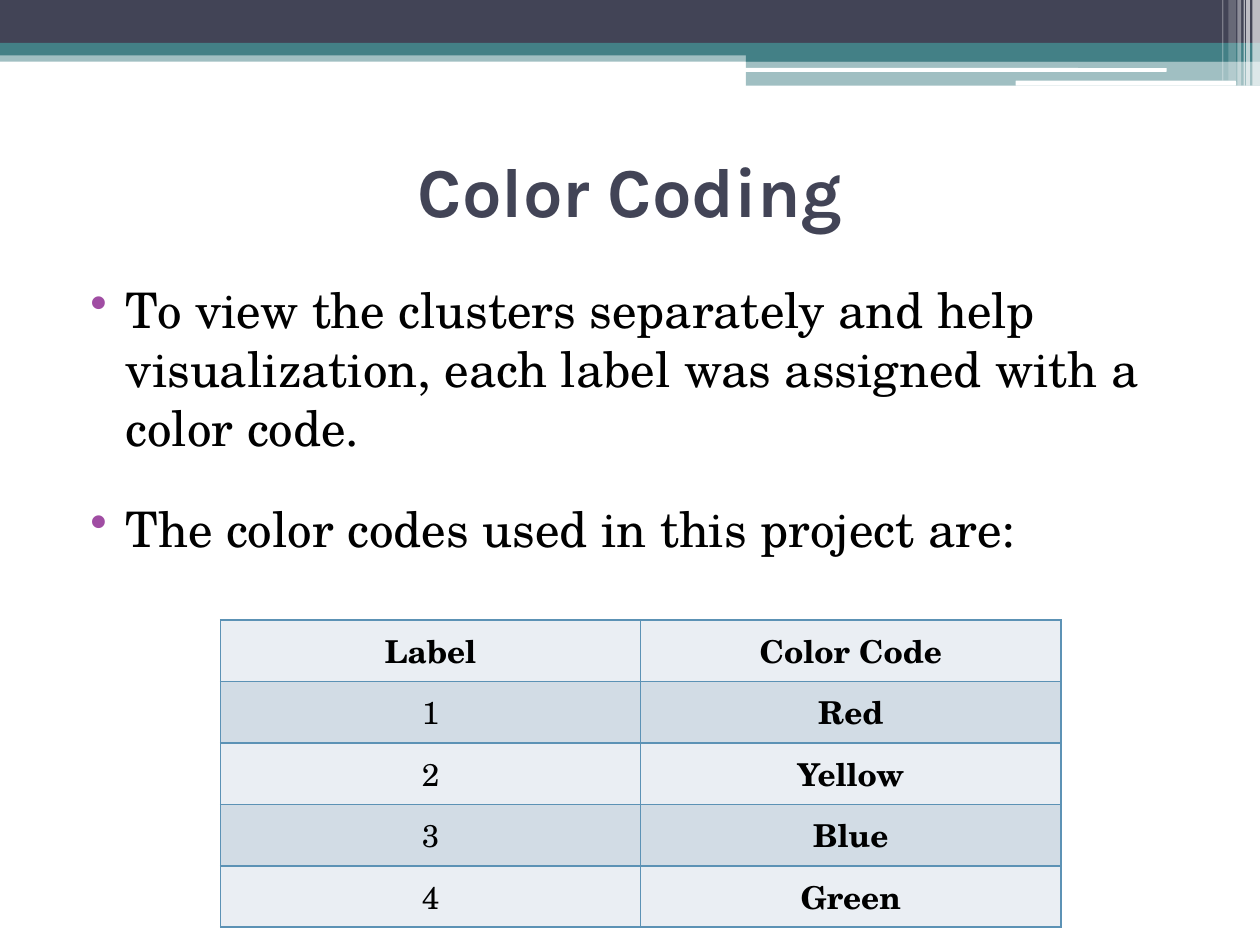
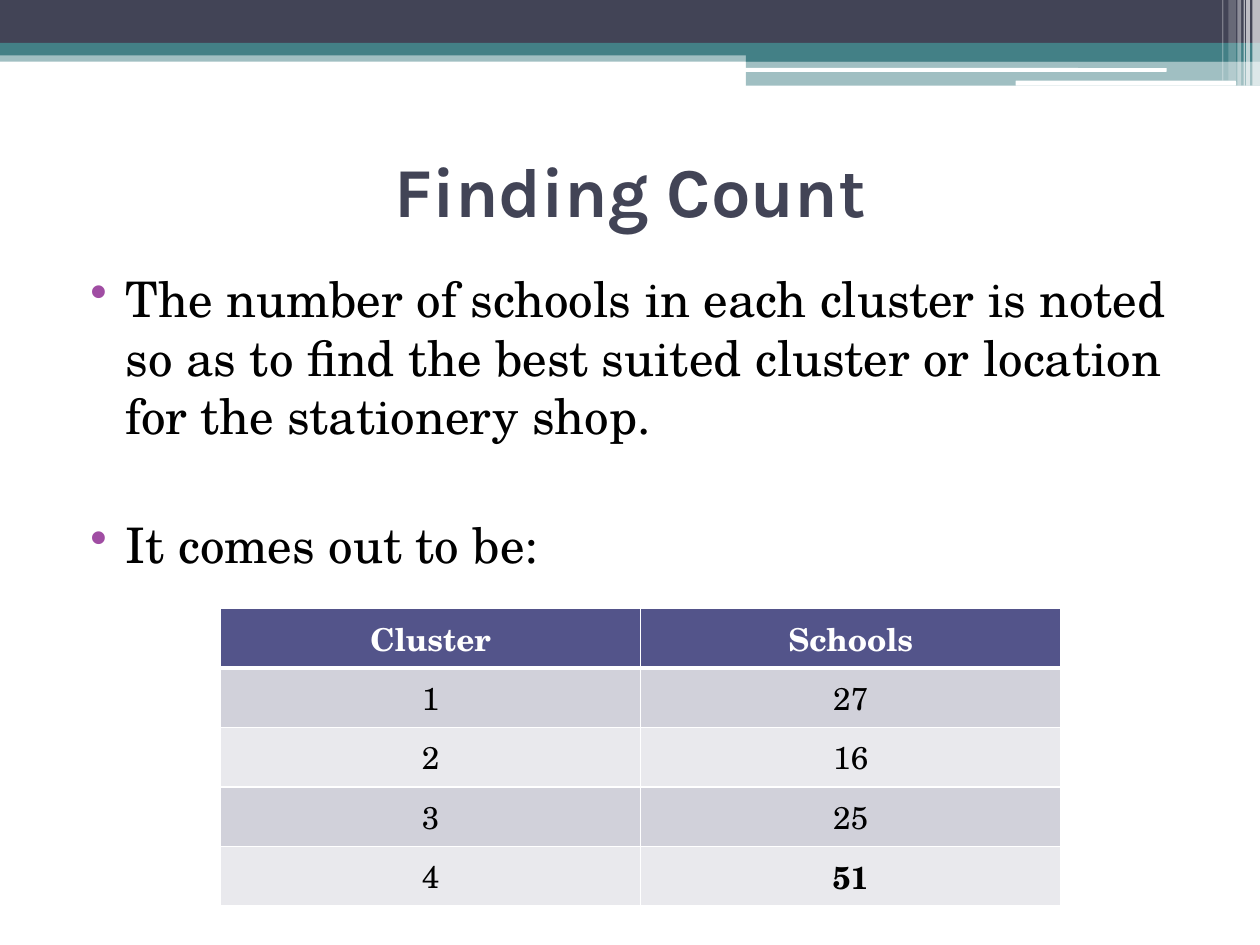
"""Two slides on clusters: a banded header, a title, bullets and a table."""
from lxml import etree
from pptx import Presentation
from pptx import util as u
from pptx.dml import color
from pptx.enum import shapes, text
from pptx.oxml import ns

COLORS = {
    "ink": "000000", "paper": "FFFFFF", "slate": "424456", "teal": "438086",
    "bullet": "A04DA3", "indigo": "53548A", "steel": "5C92B5",
    "mist": "EAEEF3", "haze": "D2DCE5", "pearl": "E9E9ED", "silver": "D1D1DA",
}
HEADING, SERIF = "Karla", "TeX Gyre Schola"

# The slide is a grid of 10 columns by 7.5 rows, each cell one inch square.
COLUMNS, ROWS = 10, 7.5
CELL = u.Inches(1)
BANNER = (0, 0, COLUMNS, 0.68)
TITLE = (0.5, 0.92, 9, 1.17)

# Left, top, width, height within the banner; colour; opacity in percent.
BANDS = [
    (0, 0.4, 10, 0.09, "teal", 50),
    (0, 0, 10, 0.34, "slate", 100),
    (0, 0.34, 10, 0.1, "teal", 100),
    (5.92, 0.39, 4.08, 0.1, "teal", 100),
    (5.92, 0.48, 4.08, 0.2, "teal", 50),
]
RULES = [
    (5.91, 0.54, 3.35, 0.03, "paper", 100),
    (8.06, 0.64, 1.75, 0.04, "paper", 100),
]
STRIPES = [(left, 0, width, height, "paper", opacity)
           for left, width, height, opacity in [
               (9.94, 0.06, 0.68, 65), (9.89, 0.03, 0.68, 65),
               (9.87, 0.01, 0.68, 60), (9.82, 0.03, 0.68, 40),
               (9.75, 0.06, 0.64, 20), (9.7, 0.01, 0.64, 30)]]


def rgb(name):
    """Return a named colour as an RGBColor."""
    return color.RGBColor.from_string(COLORS[name])


def grid(*cells):
    """Turn grid cells into slide lengths."""
    return [u.Emu(round(cell * CELL)) for cell in cells]


def assign(target, values):
    """Set each attribute in a dict of format values."""
    for name, value in values.items():
        setattr(target, name, value)


def child(parent, tag, **attributes):
    """Append a DrawingML element to its parent."""
    return etree.SubElement(parent, ns.qn("a:" + tag), attributes)


def write(paragraph, words, ink, **font):
    """Add one formatted run to a paragraph."""
    run = paragraph.add_run()
    run.text = words
    assign(run.font, font)
    run.font.color.rgb = rgb(ink)


def add_banner(slide, box):
    """Draw the bands, rules and stripes of the header."""
    kinds = shapes.MSO_SHAPE
    parts = [(kinds.RECTANGLE, band) for band in BANDS]
    parts += [(kinds.ROUNDED_RECTANGLE, rule) for rule in RULES]
    parts += [(kinds.RECTANGLE, stripe) for stripe in STRIPES]
    for kind, (left, top, width, height, fill, opacity) in parts:
        shape = slide.shapes.add_shape(
            kind, *grid(box[0] + left, box[1] + top, width, height))
        shape.shadow.inherit = False
        shape.line.fill.background()
        shape.fill.solid()
        shape.fill.fore_color.rgb = rgb(fill)
        if opacity < 100:
            solid = shape.fill._xPr.find(ns.qn("a:solidFill"))
            child(solid[0], "alpha", val=str(opacity * 1000))


def add_title(slide, box, words):
    """Write the centred slide title."""
    frame = slide.shapes.add_textbox(*grid(*box)).text_frame
    assign(frame, {"word_wrap": True,
                   "vertical_anchor": text.MSO_ANCHOR.MIDDLE})
    paragraph = frame.paragraphs[0]
    paragraph.alignment = text.PP_ALIGN.CENTER
    write(paragraph, words, "slate", name=HEADING, size=u.Pt(40), bold=True)


def add_bullets(slide, box, items, gap):
    """Write bulleted paragraphs with a gap in points between them."""
    frame = slide.shapes.add_textbox(*grid(*box)).text_frame
    frame.word_wrap = True
    for index, words in enumerate(items):
        paragraph = frame.add_paragraph() if index else frame.paragraphs[0]
        paragraph.space_before = u.Pt(gap if index else 3)
        properties = paragraph._p.get_or_add_pPr()
        properties.set("marL", str(u.Inches(0.4)))
        properties.set("indent", str(u.Inches(-0.28)))
        child(child(properties, "buClr"), "srgbClr", val=COLORS["bullet"])
        child(properties, "buChar", char="•")
        write(paragraph, words, "ink", name=SERIF, size=u.Pt(28))


def set_borders(cell, line, bottom):
    """Draw the four cell borders, the lower one with its own width."""
    properties = cell._tc.get_or_add_tcPr()
    for side, width in zip("LRTB", (1, 1, 1, bottom)):
        border = child(properties, "ln" + side, w=str(u.Pt(width)))
        child(child(border, "solidFill"), "srgbClr", val=COLORS[line])


def add_table(slide, box, rows, style):
    """Fill the box with a striped table whose first row is the header."""
    table = slide.shapes.add_table(len(rows), len(rows[0]), *grid(*box)).table
    for index, values in enumerate(rows):
        header = index == 0
        fill = style["header"] if header else style["stripes"][(index - 1) % 2]
        for column, value in enumerate(values):
            cell = table.cell(index, column)
            set_borders(cell, style["line"],
                        style["header_rule"] if header else 1)
            cell.fill.solid()
            cell.fill.fore_color.rgb = rgb(fill)
            cell.vertical_anchor = text.MSO_ANCHOR.MIDDLE
            paragraph = cell.text_frame.paragraphs[0]
            paragraph.alignment = text.PP_ALIGN.CENTER
            write(paragraph, value, style["header_ink"] if header else "ink",
                  name=SERIF, size=u.Pt(18),
                  bold=header or value in style["bold"])


def add_table_slide(presentation, title, bullets, gap, top, rows, height,
                    style):
    """Build one slide; top is the row where the bullets begin."""
    slide = presentation.slides.add_slide(presentation.slide_layouts[6])
    add_banner(slide, BANNER)
    add_title(slide, TITLE, title)
    add_bullets(slide, (0.5, top, 9, 4.73), bullets, gap)
    add_table(slide, (1.75, top + 2.75, 6.67, height), rows, style)


def main():
    """Build and save the presentation."""
    presentation = Presentation()
    assign(presentation, {"slide_width": COLUMNS * CELL,
                          "slide_height": round(ROWS * CELL)})
    codes = ["Red", "Yellow", "Blue", "Green"]
    add_table_slide(
        presentation, "Color Coding",
        ["To view the clusters separately and help visualization, "
         "each label was assigned with a color code.",
         "The color codes used in this project are:"],
        24, 2.17,
        [("Label", "Color Code"),
         *((str(label), code) for label, code in enumerate(codes, 1))],
        2.44,
        {"header": "mist", "stripes": ("haze", "mist"), "line": "steel",
         "header_rule": 1, "header_ink": "ink", "bold": codes})
    counts = ["27", "16", "25", "51"]
    add_table_slide(
        presentation, "Finding Count",
        ["The number of schools in each cluster is noted so as to find the "
         "best suited cluster or location for the stationery shop.",
         "It comes out to be:"],
        39.6, 2.08,
        [("Cluster", "Schools"),
         *((str(cluster), count) for cluster, count in enumerate(counts, 1))],
        2.36,
        {"header": "indigo", "stripes": ("silver", "pearl"), "line": "paper",
         "header_rule": 3, "header_ink": "paper",
         "bold": [max(counts, key=int)]})
    presentation.save("out.pptx")


main()
